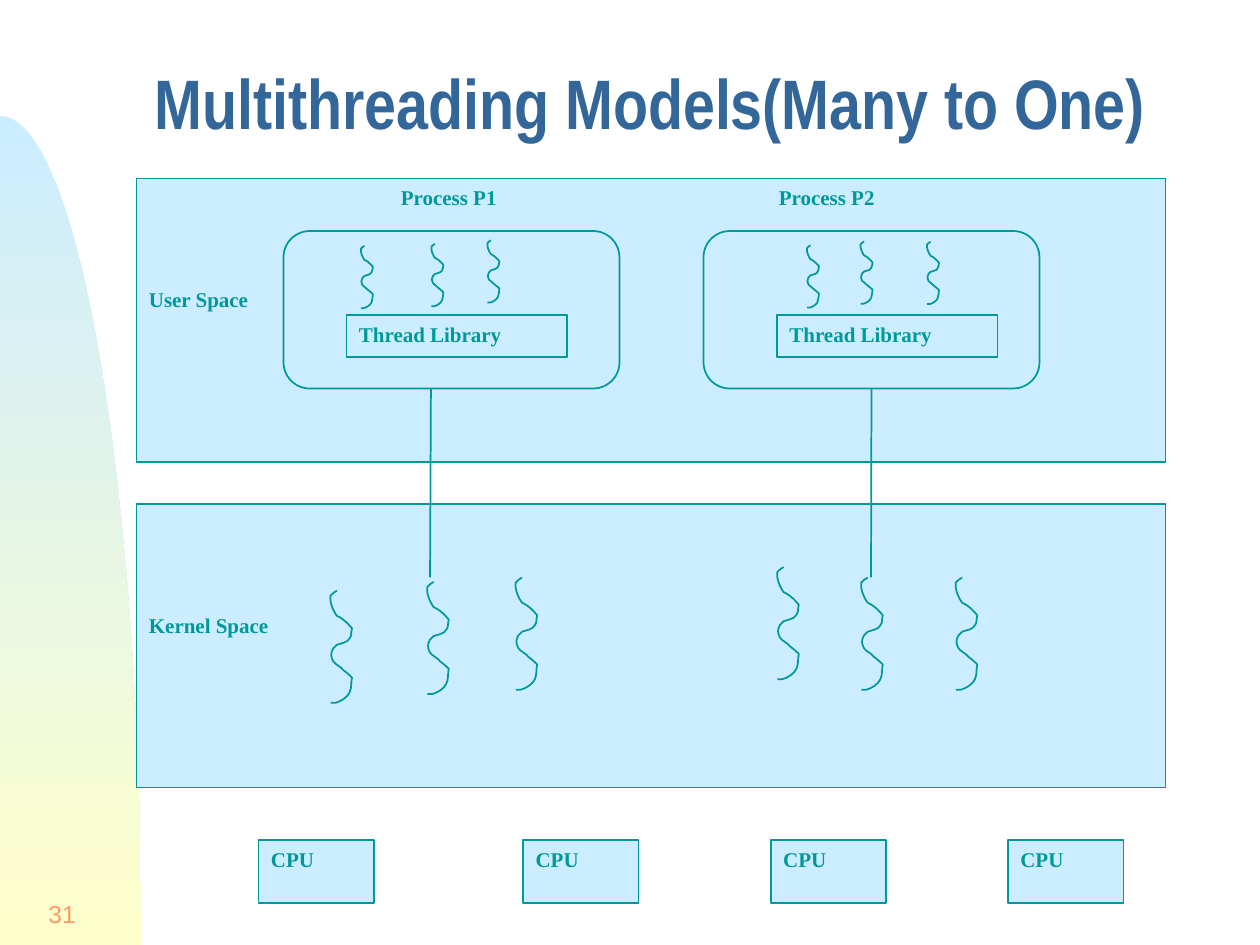
from dataclasses import dataclass

from lxml import etree
from pptx import Presentation
from pptx.dml.color import RGBColor
from pptx.enum.shapes import MSO_CONNECTOR, MSO_SHAPE
from pptx.enum.text import MSO_ANCHOR, PP_ALIGN
from pptx.oxml.ns import qn
from pptx.util import Pt

RECT = MSO_SHAPE.RECTANGLE
ROUND = MSO_SHAPE.ROUNDED_RECTANGLE
STRAIGHT = MSO_CONNECTOR.STRAIGHT
TOP, MIDDLE, BOTTOM = MSO_ANCHOR.TOP, MSO_ANCHOR.MIDDLE, MSO_ANCHOR.BOTTOM
LEFT, RIGHT = PP_ALIGN.LEFT, PP_ALIGN.RIGHT

TEAL, SKY, CREAM = "009999", "CCECFF", "FFFFCC"
LABEL = {"name": "Times New Roman", "size": Pt(12), "bold": True}
TITLE = {"name": "Arial Narrow", "size": Pt(40), "bold": True}
NUMBER = {"name": "Arial", "size": Pt(14)}

THREAD = [
    (6, 0), (5, 1), (2, 2), (1, 4), (0, 9), (3, 16), (6, 20), (8, 21), (10, 22), (11, 23),
    (14, 25), (18, 30), (18, 30), (17, 33), (18, 36), (16, 38), (15, 41), (9, 42), (6, 43),
    (5, 44), (4, 45), (3, 46), (1, 50), (1, 52), (3, 56), (5, 59), (9, 60), (11, 63),
    (14, 65), (18, 69), (18, 69), (17, 73), (18, 77), (16, 81), (14, 85), (9, 88), (5, 89),
    (4, 89), (3, 89), (1, 89),
]
ARC = [(0, 0), (62, 0), (112, 295), (112, 658), (0, 658)]
KERNEL_UNIT, USER_UNIT, ARC_UNIT = 0.72, 0.4, 0.72


@dataclass
class Box:
    x: float
    y: float
    w: float
    h: float
    lines: tuple = ()
    kind: int = RECT
    inset_top: float = 3.6
    gap: float = 0
    tabs: tuple = ()


@dataclass
class Thread:
    x: float
    y: float
    unit: float


BANDS = [
    Box(78, 102, 588, 162, ("\tProcess P1\tProcess P2", "User Space"), gap=44, tabs=(144, 360)),
    Box(78, 288, 588, 162, ("Kernel Space",), inset_top=62),
]
PROCESSES = [Box(x, 132, 192, 90, kind=ROUND) for x in (162, 402)]
LIBRARIES = [Box(x, 180, 126, 24, ("Thread Library",)) for x in (198, 444)]
CPUS = [Box(x, 480, 66, 36, ("CPU",)) for x in (147.75, 299, 440.5, 576)]
THREADS = [
    *(Thread(x, y, KERNEL_UNIT) for x, y in (
        (188.2, 337.5), (243.5, 332.5), (294, 330), (443.5, 324), (491.5, 330), (545.5, 330))),
    *(Thread(x, y, USER_UNIT) for x, y in (
        (460.8, 140.2), (491.4, 138), (529.4, 138.2), (205.9, 140.5), (246.2, 139.4),
        (278.2, 137.3))),
]


def color(value: str) -> RGBColor:
    return RGBColor.from_string(value)


def outline(sp) -> None:
    sp.line.color.rgb = color(TEAL)
    sp.line.width = Pt(1)


def style(sp) -> None:
    sp.shadow.inherit = False
    sp.fill.solid()
    sp.fill.fore_color.rgb = color(SKY)
    outline(sp)


def write(p, text: str, fmt: dict, ink: str) -> None:
    r = p.add_run()
    r.text = text
    for key, value in fmt.items():
        setattr(r.font, key, value)
    r.font.color.rgb = color(ink)


def add_tabs(p, stops: tuple) -> None:
    tabs = etree.SubElement(p._p.get_or_add_pPr(), qn("a:tabLst"))
    for stop in stops:
        etree.SubElement(tabs, qn("a:tab"), pos=str(Pt(stop)), algn="l")


def add_box(s, box: Box):
    sp = s.shapes.add_shape(box.kind, Pt(box.x), Pt(box.y), Pt(box.w), Pt(box.h))
    style(sp)
    tf = sp.text_frame
    tf.word_wrap = True
    tf.vertical_anchor = TOP
    tf.margin_top = Pt(box.inset_top)
    for i, line in enumerate(box.lines):
        p = tf.add_paragraph() if i else tf.paragraphs[0]
        p.alignment = LEFT
        if i:
            p.space_before = Pt(box.gap)
        if "\t" in line:
            add_tabs(p, box.tabs)
        write(p, line, LABEL, TEAL)
    return sp


def add_curve(s, x: float, y: float, unit: float, points: list, close: bool = False):
    fb = s.shapes.build_freeform(*points[0], scale=Pt(unit))
    fb.add_line_segments(points[1:], close=close)
    sp = fb.convert_to_shape(Pt(x), Pt(y))
    steps = list(sp._element.iter(qn("a:lnTo")))
    whole = (len(points) - 1) // 3 * 3
    for i in range(0, whole, 3):
        curve = etree.Element(qn("a:cubicBezTo"))
        steps[i].addprevious(curve)
        for step in steps[i:i + 3]:
            curve.append(step[0])
            step.getparent().remove(step)
    return sp


def add_arc(s) -> None:
    sp = add_curve(s, 0, 66.24, ARC_UNIT, ARC, close=True)
    sp.shadow.inherit = False
    sp.fill.gradient()
    sp.fill.gradient_angle = 270
    for stop, value, position in zip(sp.fill.gradient_stops, (SKY, CREAM), (0, 1)):
        stop.color.rgb = color(value)
        stop.position = position
    sp.line.fill.background()


def add_text(s, x: float, y: float, w: float, h: float, text: str, fmt: dict, ink: str,
             anchor, align, wrap: bool, spacing: float) -> None:
    tf = s.shapes.add_textbox(Pt(x), Pt(y), Pt(w), Pt(h)).text_frame
    tf.word_wrap = wrap
    tf.vertical_anchor = anchor
    p = tf.paragraphs[0]
    p.alignment = align
    p.line_spacing = spacing
    write(p, text, fmt, ink)


def add_link(s, x1: float, y1: float, x2: float, y2: float):
    c = s.shapes.add_connector(STRAIGHT, Pt(x1), Pt(y1), Pt(x2), Pt(y2))
    outline(c)
    etree.SubElement(c._element.spPr, qn("a:effectLst"))
    return c


def main() -> None:
    prs = Presentation()
    prs.slide_width, prs.slide_height = Pt(720), Pt(540)
    s = prs.slides.add_slide(prs.slide_layouts[6])
    add_arc(s)
    add_text(s, 0, 504, 50.4, 36, "31", NUMBER, "FF9966", MIDDLE, RIGHT, False, 1.0)
    add_text(s, 81.5, 26, 620.5, 58.25, "Multithreading Models(Many to One)", TITLE, "336699",
             BOTTOM, LEFT, True, 0.7)
    for box in BANDS:
        add_box(s, box)
    processes = [add_box(s, box) for box in PROCESSES]
    for box in LIBRARIES:
        add_box(s, box)
    for thread in THREADS:
        style(add_curve(s, thread.x, thread.y, thread.unit, THREAD))
    for box in CPUS:
        add_box(s, box)
    add_link(s, 246.25, 222, 245.75, 330)
    add_link(s, 498, 222, 497.75, 330).begin_connect(processes[1], 2)
    prs.save("out.pptx")


if __name__ == "__main__":
    main()
